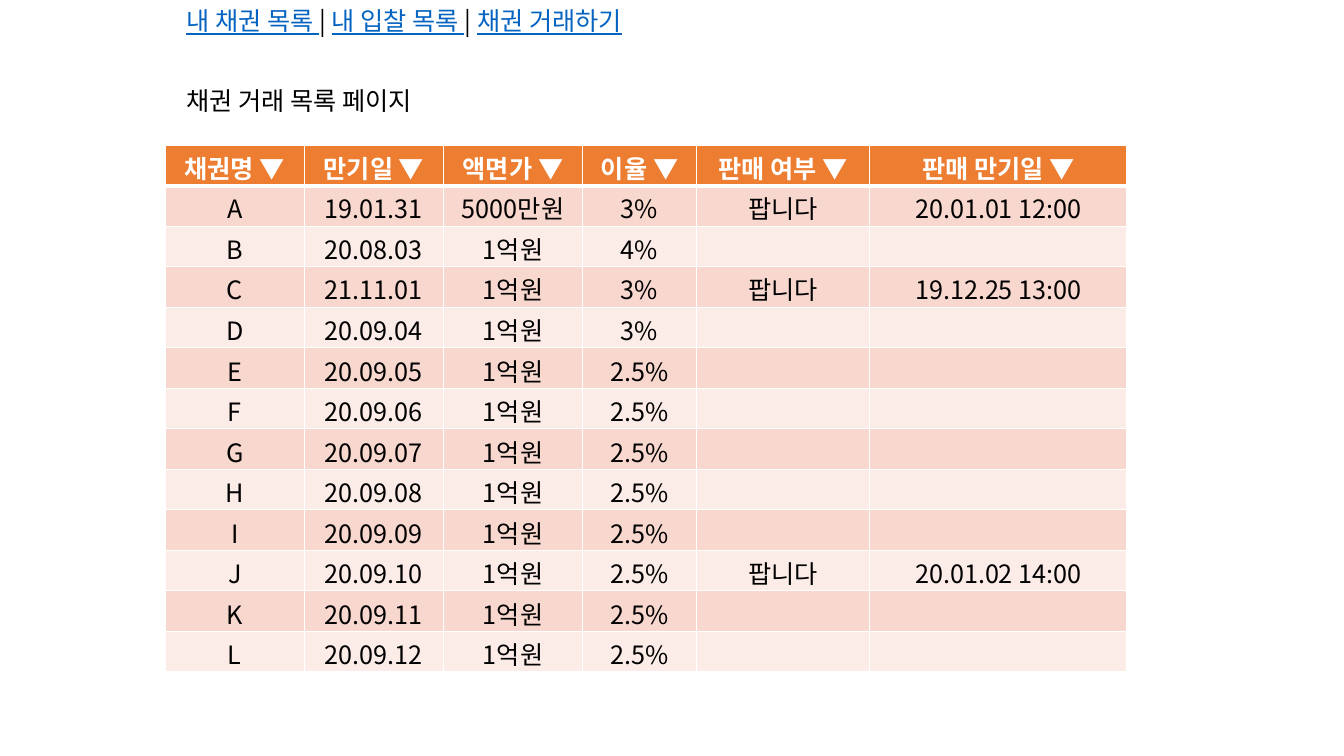
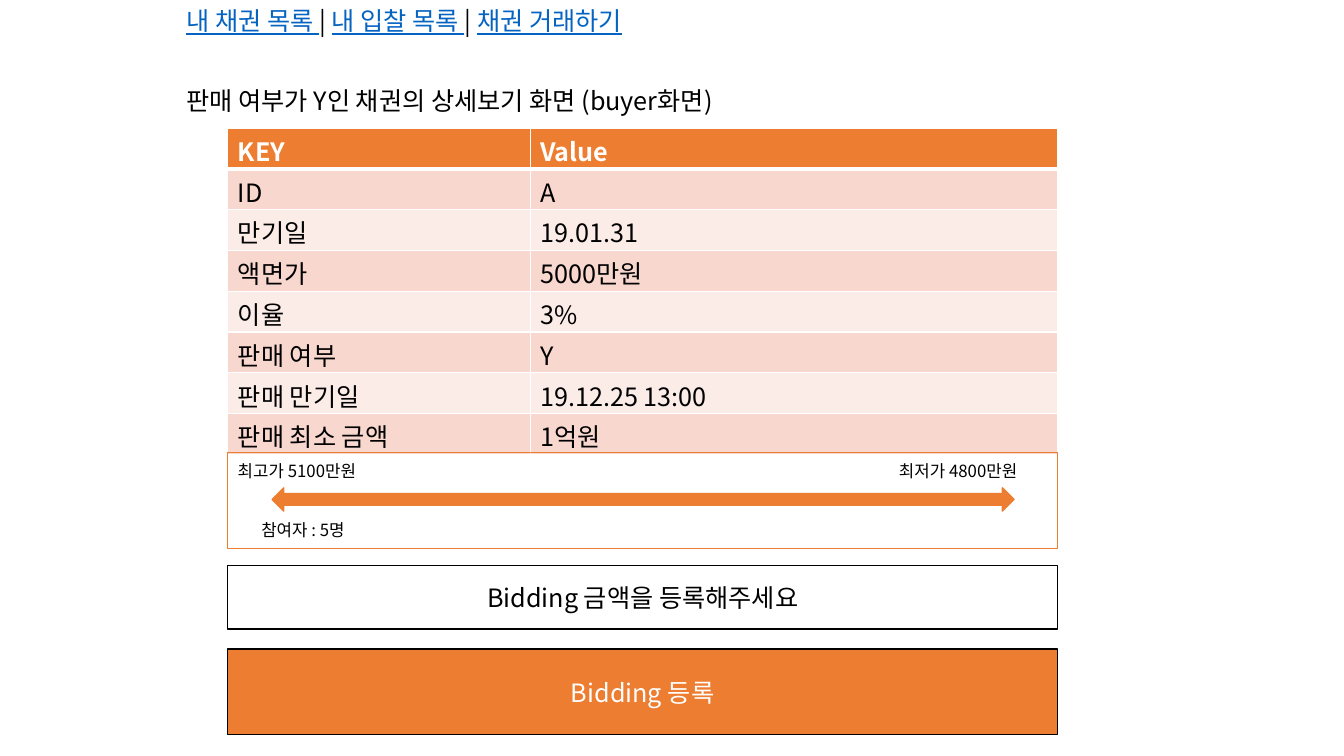
from dataclasses import astuple, dataclass
from typing import NamedTuple, Sequence

from lxml import etree
from pptx import Presentation
from pptx import util as u
from pptx.dml.color import RGBColor
from pptx.enum import shapes, text
from pptx.oxml import ns

FONT = "Noto Sans CJK KR"
ORANGE, BLACK, WHITE, LINK = "ED7D31", "000000", "FFFFFF", "0563C1"
BANDS = ("F8D7CE", "FCECE8")
SLIDE_WIDTH, SLIDE_HEIGHT = u.Inches(13.333), u.Inches(7.5)
TITLE_ONLY = 5


class Area(NamedTuple):
    left: float
    top: float
    width: float
    height: float

    def box(self) -> tuple[int, int, int, int]:
        return across(self.left), down(self.top), across(self.width), down(self.height)


class Piece(NamedTuple):
    words: str
    color: str = BLACK
    size: float = 18
    bold: bool = False
    underline: bool = False


@dataclass
class Bond:
    name: str
    maturity: str
    face_value: str = "1억원"
    rate: str = "2.5%"
    for_sale: str = ""
    sale_end: str = ""


@dataclass
class Grid:
    left: float
    top: float
    columns: Sequence[float]
    row_height: float
    header: Sequence[str]
    body: Sequence[Sequence[str]]
    align: text.PP_ALIGN


@dataclass
class Panel:
    top: float
    height: float
    fill: str | None
    line: str
    label: Piece | None = None


NAVIGATION = (
    Piece("내 채권 목록 ", LINK, underline=True),
    Piece("| "),
    Piece("내 입찰 목록 ", LINK, underline=True),
    Piece("| "),
    Piece("채권 거래하기", LINK, underline=True),
)
NAVIGATION_AREA = Area(13.13, 0, 38.7, 5.33)
TITLE_AREA = Area(13.13, 10.67, 45.15, 5.33)
PANEL_LEFT, PANEL_WIDTH = 16.95, 61.73
ARROW_AREA = Area(20.25, 64.53, 55.2, 3.07)

BONDS = (
    Bond("A", "19.01.31", "5000만원", "3%", "팝니다", "20.01.01 12:00"),
    Bond("B", "20.08.03", rate="4%"),
    Bond("C", "21.11.01", rate="3%", for_sale="팝니다", sale_end="19.12.25 13:00"),
    Bond("D", "20.09.04", rate="3%"),
    Bond("E", "20.09.05"),
    Bond("F", "20.09.06"),
    Bond("G", "20.09.07"),
    Bond("H", "20.09.08"),
    Bond("I", "20.09.09"),
    Bond("J", "20.09.10", for_sale="팝니다", sale_end="20.01.02 14:00"),
    Bond("K", "20.09.11"),
    Bond("L", "20.09.12"),
)
BOND_LIST = Grid(
    12.3, 19.2, (10.35, 10.35, 10.35, 8.48, 12.9, 19.13), 5.33,
    [f"{name} ▼" for name in ("채권명", "만기일", "액면가", "이율", "판매 여부", "판매 만기일")],
    [astuple(bond) for bond in BONDS],
    text.PP_ALIGN.CENTER,
)
BOND_DETAIL = Grid(
    PANEL_LEFT, 16.93, (22.5, 39.23), 5.4,
    ("KEY", "Value"),
    (
        ("ID", "A"),
        ("만기일", "19.01.31"),
        ("액면가", "5000만원"),
        ("이율", "3%"),
        ("판매 여부", "Y"),
        ("판매 만기일", "19.12.25 13:00"),
        ("판매 최소 금액", "1억원"),
    ),
    text.PP_ALIGN.LEFT,
)
SUBMIT_BUTTON = Panel(85.87, 11.33, ORANGE, BLACK, Piece("Bidding 등록", WHITE))
AMOUNT_FIELD = Panel(74.8, 8.4, None, BLACK, Piece("Bidding 금액을 등록해주세요"))
PRICE_RANGE = Panel(59.87, 12.67, None, ORANGE)


def across(share: float) -> int:
    return round(SLIDE_WIDTH * share / 100)


def down(share: float) -> int:
    return round(SLIDE_HEIGHT * share / 100)


def rgb(color: str) -> RGBColor:
    return RGBColor.from_string(color)


def add_runs(paragraph, *pieces: Piece) -> None:
    for piece in pieces:
        run = paragraph.add_run()
        run.text = piece.words
        font = run.font
        font.name, font.size = FONT, u.Pt(piece.size)
        font.bold, font.underline = piece.bold, piece.underline
        font.color.rgb = rgb(piece.color)
        east_asian = etree.SubElement(font._element, ns.qn("a:ea"))
        east_asian.set("typeface", FONT)


def write_line(shape, area: Area, *pieces: Piece) -> None:
    shape.left, shape.top, shape.width, shape.height = area.box()
    frame = shape.text_frame
    frame.auto_size = text.MSO_AUTO_SIZE.NONE
    frame.word_wrap = False
    frame.vertical_anchor = text.MSO_ANCHOR.MIDDLE
    frame.margin_top = frame.margin_bottom = 0
    paragraph = frame.paragraphs[0]
    paragraph.alignment = text.PP_ALIGN.LEFT
    add_runs(paragraph, *pieces)


def set_borders(cell, top: float, bottom: float) -> None:
    properties = cell._tc.get_or_add_tcPr()
    edges = (("lnL", 1), ("lnR", 1), ("lnT", top), ("lnB", bottom))
    for position, (edge, points) in enumerate(edges):
        line = etree.Element(ns.qn(f"a:{edge}"), w=str(u.Pt(points)))
        fill = etree.SubElement(line, ns.qn("a:solidFill"))
        etree.SubElement(fill, ns.qn("a:srgbClr"), val=WHITE)
        properties.insert(position, line)


def add_grid(slide, grid: Grid) -> None:
    rows = [grid.header, *grid.body]
    area = Area(grid.left, grid.top, sum(grid.columns), grid.row_height * len(rows))
    table = slide.shapes.add_table(len(rows), len(grid.columns), *area.box()).table
    for column, width in zip(table.columns, grid.columns):
        column.width = across(width)
    for index, values in enumerate(rows):
        table.rows[index].height = down(grid.row_height)
        is_header = index == 0
        for cell, value in zip(table.rows[index].cells, values):
            cell.margin_top, cell.margin_bottom = u.Inches(0.04), 0
            cell.fill.solid()
            cell.fill.fore_color.rgb = rgb(ORANGE if is_header else BANDS[(index - 1) % 2])
            set_borders(cell, 3 if index == 1 else 1, 3 if is_header else 1)
            paragraph = cell.text_frame.paragraphs[0]
            paragraph.alignment = grid.align
            if value:
                add_runs(paragraph, Piece(value, WHITE if is_header else BLACK, bold=is_header))


def add_figure(slide, kind: shapes.MSO_SHAPE, area: Area, fill: str | None, line: str):
    shape = slide.shapes.add_shape(kind, *area.box())
    shape.shadow.inherit = False
    if fill:
        shape.fill.solid()
        shape.fill.fore_color.rgb = rgb(fill)
    else:
        shape.fill.background()
    shape.line.color.rgb = rgb(line)
    shape.line.width = u.Pt(1)
    return shape


def add_panel(slide, panel: Panel):
    area = Area(PANEL_LEFT, panel.top, PANEL_WIDTH, panel.height)
    shape = add_figure(slide, shapes.MSO_SHAPE.RECTANGLE, area, panel.fill, panel.line)
    frame = shape.text_frame
    frame.word_wrap = True
    frame.vertical_anchor = text.MSO_ANCHOR.MIDDLE
    if panel.label:
        paragraph = frame.paragraphs[0]
        paragraph.alignment = text.PP_ALIGN.CENTER
        add_runs(paragraph, panel.label)
    return shape


def add_price_range(slide) -> None:
    frame = add_panel(slide, PRICE_RANGE).text_frame
    prices, bidders = frame.paragraphs[0], frame.add_paragraph()
    properties = prices._p.get_or_add_pPr()
    tabs = etree.SubElement(properties, ns.qn("a:tabLst"))
    etree.SubElement(tabs, ns.qn("a:tab"), pos=str(across(49.2)), algn="l")
    bidders._p.get_or_add_pPr().set("marL", str(across(1.75)))
    bidders.space_before = u.Pt(28)
    prices.alignment = bidders.alignment = text.PP_ALIGN.LEFT
    add_runs(prices, Piece("최고가 5100만원\t최저가 4800만원", size=12))
    add_runs(bidders, Piece("참여자 : 5명", size=12))
    add_figure(slide, shapes.MSO_SHAPE.LEFT_RIGHT_ARROW, ARROW_AREA, ORANGE, ORANGE)


def add_page(presentation, title: str, grid: Grid):
    slide = presentation.slides.add_slide(presentation.slide_layouts[TITLE_ONLY])
    write_line(slide.shapes.title, TITLE_AREA, Piece(title))
    add_grid(slide, grid)
    navigation = slide.shapes.add_textbox(*NAVIGATION_AREA.box())
    write_line(navigation, NAVIGATION_AREA, *NAVIGATION)
    return slide


def main() -> None:
    presentation = Presentation()
    presentation.slide_width, presentation.slide_height = SLIDE_WIDTH, SLIDE_HEIGHT
    add_page(presentation, "채권 거래 목록 페이지", BOND_LIST)
    detail = add_page(presentation, "판매 여부가 Y인 채권의 상세보기 화면 (buyer화면)", BOND_DETAIL)
    add_panel(detail, SUBMIT_BUTTON)
    add_panel(detail, AMOUNT_FIELD)
    add_price_range(detail)
    presentation.save("out.pptx")


if __name__ == "__main__":
    main()
